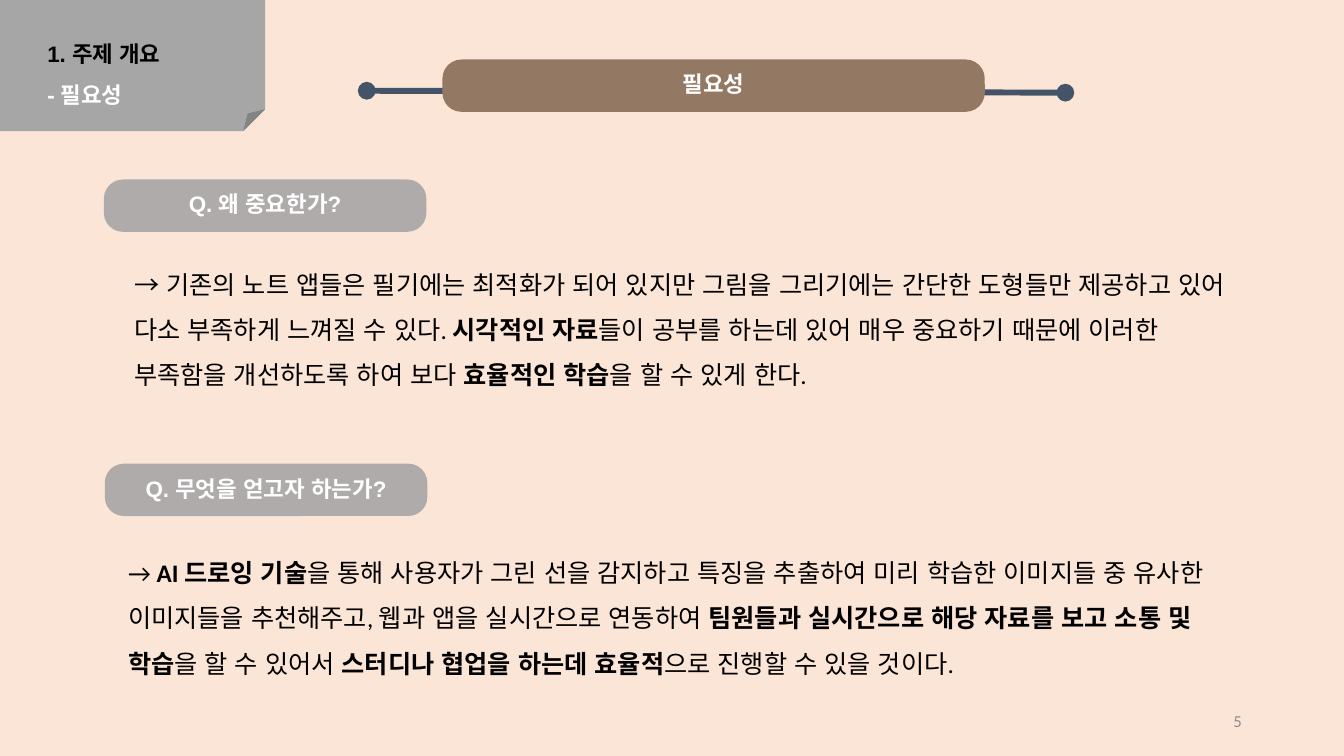
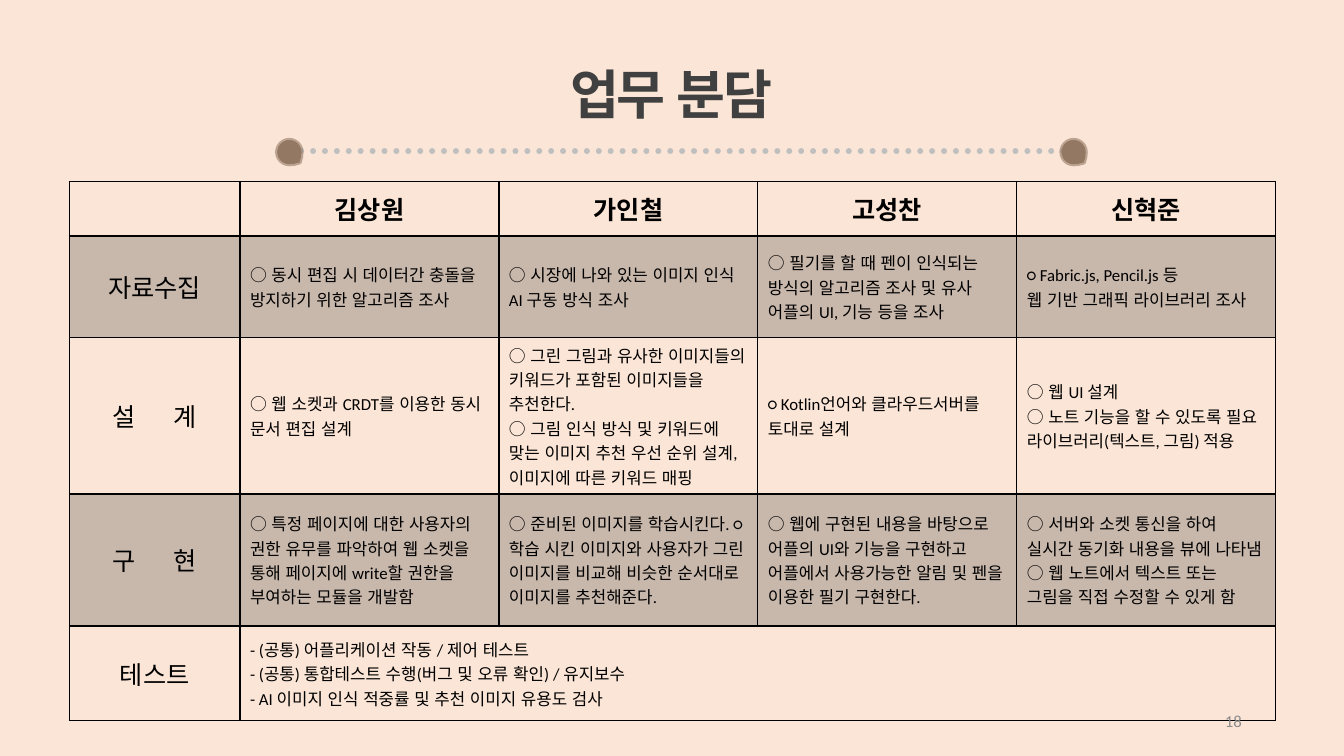
"""Build two project slides: the need for the topic and the division of work."""
from dataclasses import dataclass
from typing import Optional

from lxml import etree
from pptx import Presentation
from pptx.dml.color import RGBColor
from pptx.enum.dml import MSO_LINE
from pptx.enum.lang import MSO_LANGUAGE_ID
from pptx.enum.shapes import MSO_CONNECTOR, MSO_SHAPE
from pptx.enum.text import MSO_ANCHOR, MSO_AUTO_SIZE, PP_ALIGN
from pptx.oxml.ns import qn
from pptx.util import Pt

LEFT, CENTER, RIGHT = PP_ALIGN.LEFT, PP_ALIGN.CENTER, PP_ALIGN.RIGHT
TOP, MIDDLE = MSO_ANCHOR.TOP, MSO_ANCHOR.MIDDLE
NO_FIT = MSO_AUTO_SIZE.NONE
KOREAN = MSO_LANGUAGE_ID.KOREAN
ROUND_DOT = MSO_LINE.ROUND_DOT
STRAIGHT = MSO_CONNECTOR.STRAIGHT
PILL, FOLDED, TEARDROP = MSO_SHAPE.ROUNDED_RECTANGLE, MSO_SHAPE.FOLDED_CORNER, MSO_SHAPE.TEAR

PEACH = RGBColor(0xFB, 0xE5, 0xD6)
BROWN = RGBColor(0x93, 0x78, 0x63)
NAVY = RGBColor(0x44, 0x54, 0x68)
TAB_GRAY = RGBColor(0xA6, 0xA6, 0xA6)
PILL_GRAY = RGBColor(0xAF, 0xAB, 0xAB)
DOT_GRAY = RGBColor(0xBF, 0xBF, 0xBF)
PAGE_GRAY = RGBColor(0x8C, 0x8C, 0x8C)
TITLE_GRAY = RGBColor(0x40, 0x40, 0x40)
BLACK = RGBColor(0, 0, 0)
WHITE = RGBColor(0xFF, 0xFF, 0xFF)

HEADING_FONT, BODY_FONT = "Arial", "Calibri"
TWO_CONTENT, TITLE_ONLY = 3, 5


@dataclass(frozen=True)
class Box:
    """A rectangle in points."""
    left: float
    top: float
    width: float
    height: float

    def lengths(self) -> tuple:
        return Pt(self.left), Pt(self.top), Pt(self.width), Pt(self.height)


@dataclass(frozen=True)
class Span:
    """A stretch of text with its own weight, colour or letter spacing."""
    text: str
    bold: Optional[bool] = None
    color: Optional[RGBColor] = None
    tracking: float = 0


@dataclass(frozen=True)
class Question:
    """A question label with the answer below it."""
    label: str
    label_box: Box
    answer: tuple
    answer_box: Box


@dataclass(frozen=True)
class WorkRow:
    """A table row: phase, one cell per member, height and shading."""
    phase: tuple
    cells: tuple
    height: float
    shaded: bool = False


QUESTIONS = (
    Question(
        "Q. 왜 중요한가?", Box(74.2, 128.2, 230.4, 37.4),
        (Span("→ 기존의 노트 앱들은 필기에는 최적화가 되어 있지만 그림을 그리기에는 간단한 "
              "도형들만 제공하고 있어 다소 부족하게 느껴질 수 있다. "),
         Span("시각적인 자료", True),
         Span("들이 공부를 하는데 있어 매우 중요하기 때문에 이러한 부족함을 개선하도록 하여 보다 "),
         Span("효율적인 학습", True),
         Span("을 할 수 있게 한다.")),
        Box(86.4, 176.4, 816.5, 104.4)),
    Question(
        "Q. 무엇을 얻고자 하는가?", Box(74.9, 331.2, 230.4, 37.4),
        (Span("→ "),
         Span("AI 드로잉 기술", True),
         Span("을 통해 사용자가 그린 선을 감지하고 특징을 추출하여 미리 학습한 이미지들 중 "
              "유사한 이미지들을 추천해주고, 웹과 앱을 실시간으로 연동하여 "),
         Span("팀원들과 실시간으로 해당 자료를 보고 소통 및 학습", True),
         Span("을 할 수 있어서 "),
         Span("스터디나 협업을 하는데 효율적", True),
         Span("으로 진행할 수 있을 것이다.")),
        Box(82.1, 382.3, 812.2, 104.4)),
)

MEMBERS = ("김상원", "가인철", "고성찬", "신혁준")
HEADER_HEIGHT, PHASE_WIDTH, MEMBER_WIDTH = 38.9, 121.7, 185
WORK_ROWS = (
    WorkRow((Span("자료수집"),), (
        ("○ 동시 편집 시 데이터간 충돌을 방지하기 위한 알고리즘 조사",),
        ("○ 시장에 나와 있는 이미지 인식 AI 구동 방식 조사",),
        ("○ 필기를 할 때 펜이 인식되는 방식의 알고리즘 조사 및 유사 어플의 UI, 기능 등을 조사",),
        ("○ Fabric.js, Pencil.js 등", "웹 기반 그래픽 라이브러리 조사"),
    ), 72.7, True),
    WorkRow((Span("설", tracking=27), Span("계")), (
        ("○ 웹 소켓과 CRDT를 이용한 동시 문서 편집 설계",),
        ("○ 그린 그림과 유사한 이미지들의 키워드가 포함된 이미지들을 추천한다.",
         "○ 그림 인식 방식 및 키워드에 맞는 이미지 추천 우선 순위 설계, 이미지에 따른 키워드 매핑"),
        ("○ Kotlin언어와 클라우드서버를 토대로 설계",),
        ("○ 웹 UI 설계", "○ 노트 기능을 할 수 있도록 필요 라이브러리(텍스트, 그림) 적용"),
    ), 110.9),
    WorkRow((Span("구", tracking=27), Span("현")), (
        ("○ 특정 페이지에 대한 사용자의 권한 유무를 파악하여 웹 소켓을 통해 페이지에 "
         "write할 권한을 부여하는 모듈을 개발함",),
        ("○ 준비된 이미지를 학습시킨다. ○ 학습 시킨 이미지와 사용자가 그린 이미지를 비교해 "
         "비슷한 순서대로 이미지를 추천해준다.",),
        ("○ 웹에 구현된 내용을 바탕으로 어플의 UI와 기능을 구현하고 어플에서 사용가능한 "
         "알림 및 펜을 이용한 필기 구현한다.",),
        ("○ 서버와 소켓 통신을 하여 실시간 동기화 내용을 뷰에 나타냄",
         "○ 웹 노트에서 텍스트 또는 그림을 직접 수정할 수 있게 함"),
    ), 94.3, True),
    WorkRow((Span("테스트"),), (
        ("- (공통) 어플리케이션 작동 / 제어 테스트",
         "- (공통) 통합테스트 수행(버그 및 오류 확인) / 유지보수",
         "- AI 이미지 인식 적중률 및 추천 이미지 유용도 검사"),
    ), 67.7),
)


def write_text(frame, paragraphs, *, size: float, color: RGBColor = BLACK,
               font: str = BODY_FONT, bold: bool = False, align=LEFT,
               line_spacing: float = 1.0, space_before: float = 0) -> None:
    """Fill a text frame with paragraphs, each a string or a tuple of spans."""
    frame.word_wrap = True
    for index, content in enumerate(paragraphs):
        para = frame.paragraphs[0] if index == 0 else frame.add_paragraph()
        para.alignment = align
        para.line_spacing = line_spacing
        para.space_before = Pt(space_before)
        for span in (Span(content),) if isinstance(content, str) else content:
            run = para.add_run()
            run.text = span.text
            run.font.name = font
            run.font.size = Pt(size)
            run.font.bold = bold if span.bold is None else span.bold
            run.font.color.rgb = span.color or color
            run.font.language_id = KOREAN
            if span.tracking:
                run._r.get_or_add_rPr().set("spc", str(round(span.tracking * 100)))


def set_frame(frame, *, anchor=MIDDLE, left: float = 7.2, top: float = 3.6) -> None:
    """Set the anchor and the matching side margins of a text frame."""
    frame.auto_size = NO_FIT
    frame.vertical_anchor = anchor
    frame.margin_left = frame.margin_right = Pt(left)
    frame.margin_top = frame.margin_bottom = Pt(top)


def place(shape, box: Box) -> None:
    """Move and size a shape."""
    shape.left, shape.top, shape.width, shape.height = box.lengths()


def set_alpha(fill_element, percent: int) -> None:
    """Give a solid fill element an opacity."""
    etree.SubElement(fill_element.find(qn("a:srgbClr")), qn("a:alpha"), val=str(percent * 1000))


def add_block(slide, kind, box: Box, fill: RGBColor):
    """Add a flat preset shape without outline."""
    block = slide.shapes.add_shape(kind, *box.lengths())
    block.shadow.inherit = False
    block.fill.solid()
    block.fill.fore_color.rgb = fill
    block.line.fill.background()
    return block


def add_pill(slide, box: Box, fill: RGBColor):
    """Add a strongly rounded label shape."""
    pill = add_block(slide, PILL, box, fill)
    pill.adjustments[0] = 0.364
    return pill


def add_rule(slide, start: tuple, end: tuple, color: RGBColor, *, dotted: bool = False) -> None:
    """Add a thick line, dotted or with round ends."""
    rule = slide.shapes.add_connector(STRAIGHT, *map(Pt, start + end))
    rule.line.color.rgb = color
    rule.line.width = Pt(4.25)
    outline = rule.line._get_or_add_ln()
    if dotted:
        rule.line.dash_style = ROUND_DOT
        outline.set("cap", "rnd")
    else:
        for end_tag in ("a:headEnd", "a:tailEnd"):
            etree.SubElement(outline, qn(end_tag), type="oval")
    etree.SubElement(rule.element.spPr, qn("a:effectLst"))


def set_title(slide, text: str, box: Box, *, line_spacing: float, size: float,
              color: RGBColor, tracking: float = 0) -> None:
    """Format the title placeholder and bring it to the front."""
    title = slide.shapes.title
    place(title, box)
    set_frame(title.text_frame)
    write_text(title.text_frame, [(Span(text, tracking=tracking),)], size=size, color=color,
               font=HEADING_FONT, bold=True, align=CENTER, line_spacing=line_spacing)
    slide.shapes[-1].element.addnext(title.element)


def add_page_number(slide, number: int) -> None:
    """Add the page number at the lower right."""
    frame = slide.shapes.add_textbox(*Box(678.2, 500.4, 216, 28.8).lengths()).text_frame
    set_frame(frame)
    write_text(frame, [str(number)], size=12, color=PAGE_GRAY, align=RIGHT)


def add_question(slide, question: Question, body) -> None:
    """Draw a question pill and fill the body placeholder with its answer."""
    pill = add_pill(slide, question.label_box, PILL_GRAY)
    set_frame(pill.text_frame)
    write_text(pill.text_frame, [question.label], size=16, color=WHITE, font=HEADING_FONT,
               bold=True, align=CENTER, line_spacing=0.9)
    place(body, question.answer_box)
    set_frame(body.text_frame, anchor=TOP, left=9.4, top=5)
    write_text(body.text_frame, [question.answer], size=18, line_spacing=1.5, space_before=3.6)
    properties = body.text_frame.paragraphs[0]._p.get_or_add_pPr()
    properties.set("marL", "0")
    properties.set("indent", "0")
    etree.SubElement(properties, qn("a:buNone"))


def build_need_slide(deck) -> None:
    """Build the slide on why the topic is needed."""
    slide = deck.slides.add_slide(deck.slide_layouts[TWO_CONTENT])
    add_rule(slide, (262, 64.8), (761, 66.2), NAVY)
    title_box = Box(316, 42.5, 387.4, 37.4)
    add_pill(slide, title_box, BROWN)
    set_title(slide, "필요성", title_box, size=16, color=WHITE, line_spacing=0.9)
    for index, question in enumerate(QUESTIONS, start=1):
        add_question(slide, question, slide.placeholders[index])
    tab = add_block(slide, FOLDED, Box(0, 0, 189.4, 93.6), TAB_GRAY)
    set_frame(tab.text_frame, anchor=TOP, left=33.8, top=19.4)
    write_text(tab.text_frame, ["1. 주제 개요", (Span("- 필요성", color=WHITE),)], size=16,
               font=HEADING_FONT, bold=True, line_spacing=1.5)
    add_page_number(slide, 5)


def format_cell(cell, *, shaded: bool, bottom: float, top: float) -> None:
    """Set the fill, anchor and borders of a table cell."""
    cell.vertical_anchor = MIDDLE
    properties = cell._tc.get_or_add_tcPr()
    if shaded:
        cell.fill.solid()
        cell.fill.fore_color.rgb = BLACK
        set_alpha(properties.find(qn("a:solidFill")), 20)
    else:
        cell.fill.background()
    widths = {"a:lnL": 1, "a:lnR": 1, "a:lnT": top, "a:lnB": bottom}
    for index, (tag, width) in enumerate(widths.items()):
        border = etree.Element(qn(tag), w=str(Pt(width)))
        fill = etree.SubElement(border, qn("a:solidFill"))
        etree.SubElement(fill, qn("a:srgbClr"), val=str(BLACK))
        properties.insert(index, border)


def add_work_table(slide) -> None:
    """Add the table of phases and members."""
    heights = [HEADER_HEIGHT] + [row.height for row in WORK_ROWS]
    widths = [PHASE_WIDTH] + [MEMBER_WIDTH] * len(MEMBERS)
    box = Box(49.7, 129.6, sum(widths), sum(heights))
    table = slide.shapes.add_table(len(heights), len(widths), *box.lengths()).table
    table.first_row = table.horz_banding = False
    for column, width in zip(table.columns, widths):
        column.width = Pt(width)
    for index, (row, height) in enumerate(zip(table.rows, heights)):
        row.height = Pt(height)
        for cell in row.cells:
            format_cell(cell, shaded=index > 0 and WORK_ROWS[index - 1].shaded,
                        bottom=2 if index == 0 else 1, top=2 if index == 1 else 1)
    for column, member in enumerate(MEMBERS, start=1):
        write_text(table.cell(0, column).text_frame, [member], size=18, bold=True, align=CENTER)
    for index, work in enumerate(WORK_ROWS, start=1):
        write_text(table.cell(index, 0).text_frame, [work.phase], size=18, align=CENTER)
        if len(work.cells) == 1:
            table.cell(index, 1).merge(table.cell(index, len(MEMBERS)))
        for column, lines in enumerate(work.cells, start=1):
            write_text(table.cell(index, column).text_frame, lines, size=12)


def build_work_slide(deck) -> None:
    """Build the slide on who does what."""
    slide = deck.slides.add_slide(deck.slide_layouts[TITLE_ONLY])
    set_title(slide, "업무 분담", Box(119.5, 42.5, 720, 59), size=38, color=TITLE_GRAY,
              line_spacing=0.7, tracking=-1.5)
    add_rule(slide, (206.6, 108), (763.2, 108), DOT_GRAY, dotted=True)
    for left in (198, 758.2):
        drop = add_block(slide, TEARDROP, Box(left, 100, 17.3, 17.3), BROWN)
        drop.adjustments[0] = 0.85
        drop.rotation = 90
        drop.line.color.rgb = BROWN
        drop.line.width = Pt(3)
        set_alpha(drop.line._get_or_add_ln().find(qn("a:solidFill")), 58)
    add_work_table(slide)
    add_page_number(slide, 18)


def main() -> None:
    """Create and save the deck."""
    deck = Presentation()
    deck.slide_width, deck.slide_height = Pt(960), Pt(540)
    background = deck.slide_master.background.fill
    background.solid()
    background.fore_color.rgb = PEACH
    build_need_slide(deck)
    build_work_slide(deck)
    deck.save("out.pptx")


if __name__ == "__main__":
    main()
